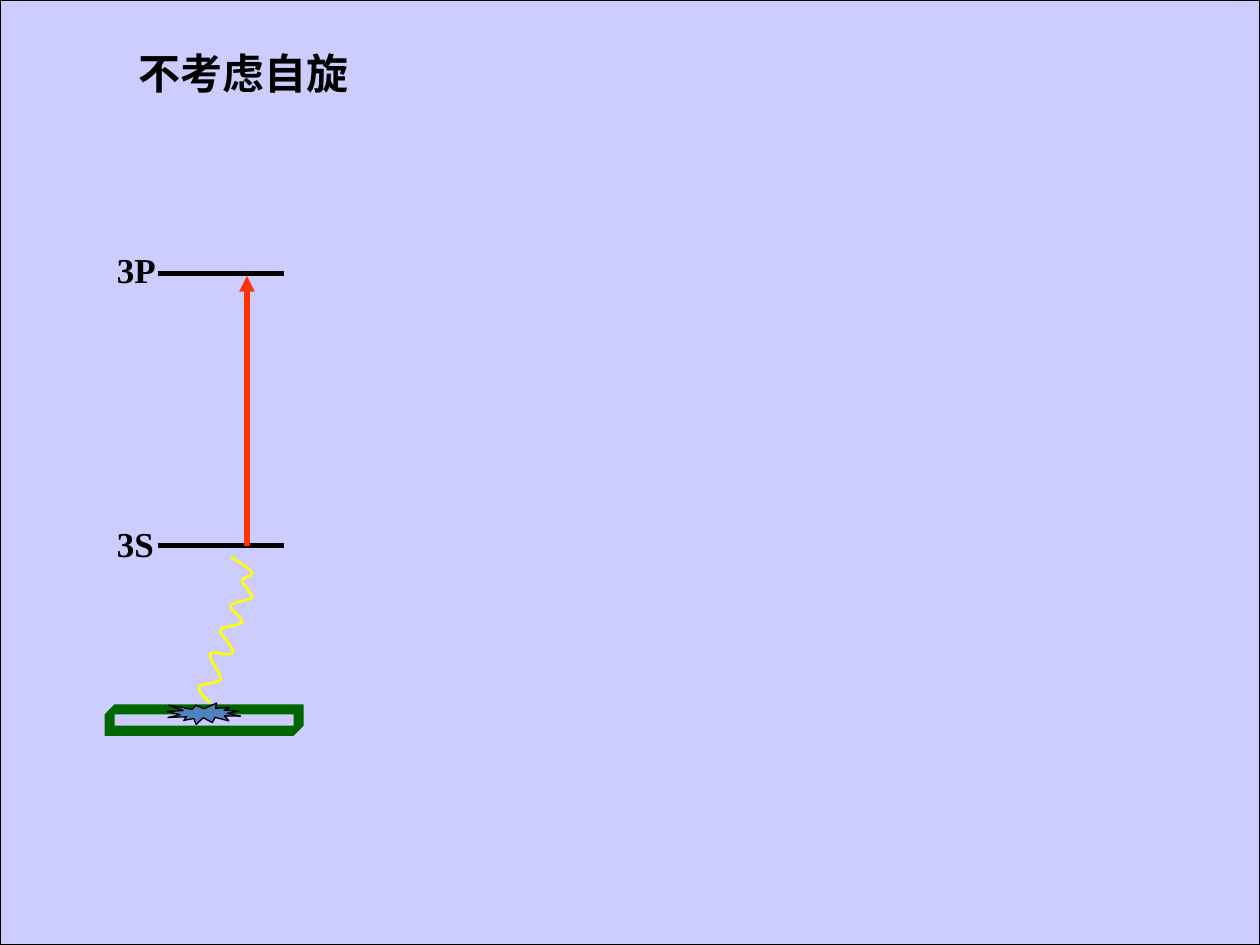
import pptx
import pptx.dml.color
import pptx.enum.shapes
import pptx.enum.text
import pptx.oxml
import pptx.oxml.ns
import pptx.util
from lxml import etree

Inches = pptx.util.Inches
Pt = pptx.util.Pt
qn = pptx.oxml.ns.qn
SHAPES = pptx.enum.shapes.MSO_SHAPE

COLORS = {
    "background": "CCCCFF",
    "ink": "000000",
    "excitation": "FF3300",
    "photon": "FFFF00",
    "tray": "006600",
    "flash": "4F81BD",
}
LEVELS = {"3S": (4.33, 4.1), "3P": (2.17, 1.92)}  # line height, label top

# Photon path in hundredths of an inch: a start, then cubic curves
PHOTON_START = (167, 558)
PHOTON_CURVES = [
    ((162, 553), (157, 549), (158, 545)),
    ((160, 542), (174, 543), (175, 539)),
    ((176, 535), (165, 523), (167, 519)),
    ((168, 516), (181, 521), (183, 519)),
    ((186, 518), (185, 516), (183, 513)),
    ((182, 510), (174, 503), (175, 500)),
    ((176, 497), (190, 497), (192, 494)),
    ((193, 490), (182, 484), (183, 481)),
    ((185, 477), (199, 477), (200, 474)),
    ((201, 471), (192, 464), (192, 461)),
    ((192, 458), (201, 458), (200, 455)),
    ((199, 451), (186, 444), (183, 442)),
]


def rgb(name):
    return pptx.dml.color.RGBColor.from_string(COLORS[name])


def paint(shape, fill=None, line=None, width=0.75):
    shape.shadow.inherit = False
    if fill:
        shape.fill.solid()
        shape.fill.fore_color.rgb = rgb(fill)
    else:
        shape.fill.background()
    if line:
        shape.line.color.rgb = rgb(line)
        shape.line.width = Pt(width)
    else:
        shape.line.fill.background()


def add_preset(slide, kind, left, top, width, height, **look):
    shape = slide.shapes.add_shape(
        kind, Inches(left), Inches(top), Inches(width), Inches(height))
    paint(shape, **look)
    return shape


def write_text(box, text, size, left, top, width, height, anchor):
    place = {"left": left, "top": top, "width": width, "height": height}
    for name, value in place.items():
        setattr(box, name, Inches(value))
    frame = box.text_frame
    frame.text = text
    frame.word_wrap = False
    frame.auto_size = pptx.enum.text.MSO_AUTO_SIZE.NONE
    frame.vertical_anchor = anchor
    paragraph = frame.paragraphs[0]
    paragraph.alignment = pptx.enum.text.PP_ALIGN.LEFT
    font = paragraph.runs[0].font
    for name, value in {"name": "Times New Roman", "size": Pt(size), "bold": True}.items():
        setattr(font, name, value)
    font.color.rgb = rgb("ink")


def add_line(slide, start, end, color, arrow=False):
    line = slide.shapes.add_connector(
        pptx.enum.shapes.MSO_CONNECTOR.STRAIGHT, *map(Inches, start + end))
    line.line.color.rgb = rgb(color)
    line.line.width = Pt(3)
    properties = line.element.spPr
    if arrow:
        stroke = properties.find(qn("a:ln"))
        etree.SubElement(stroke, qn("a:tailEnd"), type="triangle")
    etree.SubElement(properties, qn("a:effectLst"))


def add_level(slide, name, height, label_top):
    add_line(slide, (1.25, height), (2.25, height), "ink")
    label = slide.shapes.add_textbox(0, 0, 0, 0)
    write_text(label, name, 20, 0.83, label_top, 0.58, 0.43,
               pptx.enum.text.MSO_ANCHOR.TOP)


def add_tray(slide, left=83, top=567, width=150, height=17, depth=8):
    """Frame swept from a rectangle up and to the right, with an open middle."""
    right, bottom = left + width, top + height
    builder = slide.shapes.build_freeform(left, top, scale=Inches(0.01))
    builder.add_line_segments([
        (left + depth, top - depth), (right + depth, top - depth),
        (right + depth, bottom - depth), (right, bottom), (left, bottom)])
    builder.move_to(left + depth, top)
    builder.add_line_segments([
        (left + depth, bottom - depth), (right, bottom - depth), (right, top)])
    paint(builder.convert_to_shape(), fill="tray")


def add_photon(slide):
    """Wavy line: straight segments between the anchors become cubic curves."""
    builder = slide.shapes.build_freeform(*PHOTON_START, scale=Inches(0.01))
    anchors = [curve[-1] for curve in PHOTON_CURVES]
    builder.add_line_segments(anchors, close=False)
    wave = builder.convert_to_shape()
    paint(wave, line="photon", width=1.5)
    origin_x, origin_y = map(min, zip(PHOTON_START, *anchors))
    segments = list(wave.element.iter(qn("a:lnTo")))
    for segment, curve in zip(segments, PHOTON_CURVES):
        segment.tag = qn("a:cubicBezTo")
        segment.remove(segment[0])
        for x, y in curve:
            etree.SubElement(segment, qn("a:pt"), x=str(x - origin_x), y=str(y - origin_y))


def main():
    deck = pptx.Presentation()
    deck.slide_width, deck.slide_height = Inches(10), Inches(7.5)
    slide = deck.slides.add_slide(deck.slide_layouts[5])

    title = slide.shapes.title
    write_text(title, "不考虑自旋", 24, 1, 0.33, 1.95, 0.5,
               pptx.enum.text.MSO_ANCHOR.MIDDLE)
    backdrop = add_preset(slide, SHAPES.RECTANGLE, 0, 0, 10, 7.5,
                          fill="background", line="ink")
    title.element.addprevious(backdrop.element)

    add_tray(slide)
    add_preset(slide, SHAPES.EXPLOSION1, 1.33, 5.58, 0.58, 0.17,
               fill="flash", line="ink")
    for name, (height, label_top) in LEVELS.items():
        add_level(slide, name, height, label_top)
    add_photon(slide)
    add_line(slide, (1.96, 4.33), (1.96, 2.19), "excitation", arrow=True)

    deck.save("out.pptx")


if __name__ == "__main__":
    main()
